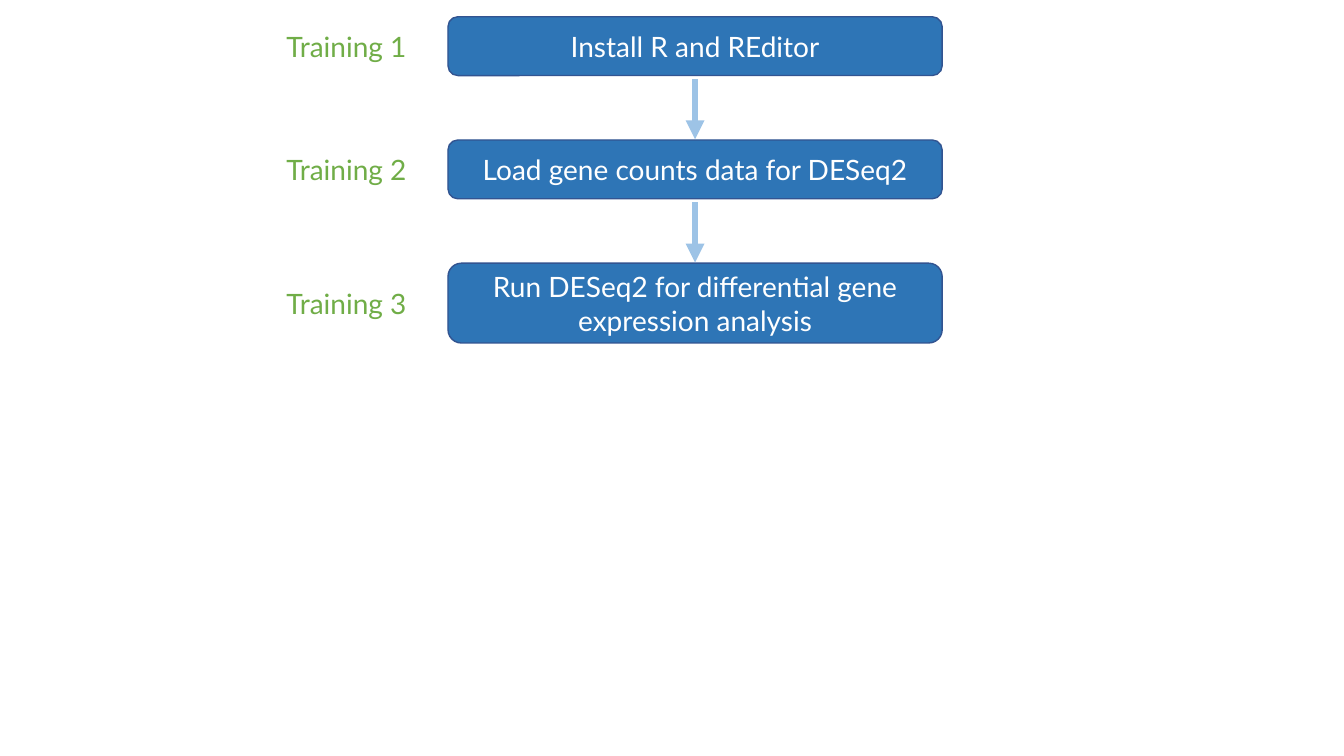
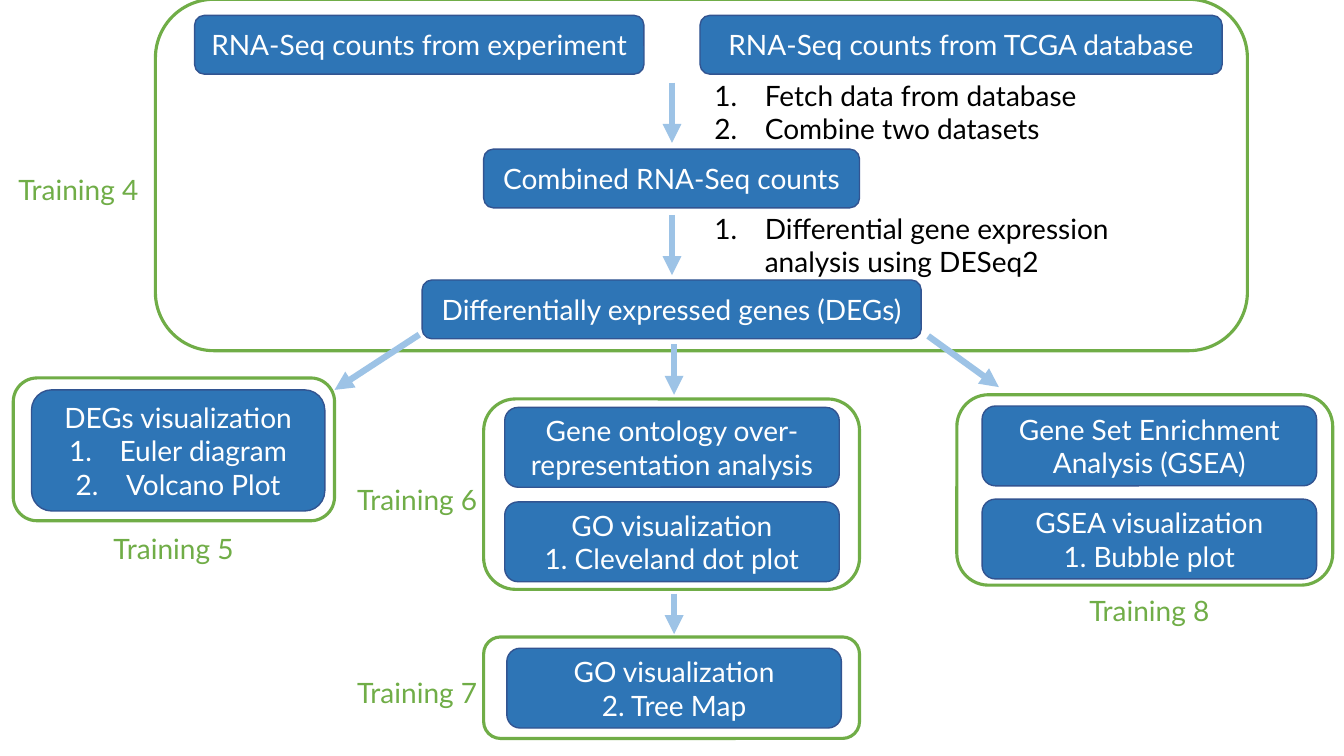
"""Build two flow charts of a gene expression training course."""
from dataclasses import dataclass

from lxml.etree import SubElement
from pptx import Presentation
from pptx.dml.color import RGBColor
from pptx.enum.shapes import MSO_CONNECTOR, MSO_SHAPE
from pptx.enum.text import MSO_ANCHOR, PP_ALIGN
from pptx.oxml.ns import qn
from pptx.util import Pt


@dataclass(frozen=True)
class Theme:
    font: str = "Lato"
    text_size: float = 20
    step_fill: RGBColor = RGBColor(0x2E, 0x75, 0xB6)
    step_edge: RGBColor = RGBColor(0x32, 0x54, 0x91)
    step_text: RGBColor = RGBColor(0xFF, 0xFF, 0xFF)
    training: RGBColor = RGBColor(0x70, 0xAD, 0x47)
    note: RGBColor = RGBColor(0, 0, 0)
    arrow: RGBColor = RGBColor(0x9D, 0xC3, 0xE6)
    edge_width: float = 1
    frame_width: float = 2.25
    arrow_width: float = 4.5
    number_indent: float = 36


class FlowChart:
    """Draw flow chart elements on the current slide."""

    def __init__(self, theme):
        self.theme = theme
        self.deck = Presentation()
        self.deck.slide_width, self.deck.slide_height = Pt(960), Pt(540)
        self.slide = None

    def new_slide(self):
        self.slide = self.deck.slides.add_slide(self.deck.slide_layouts[6])
        for placeholder in list(self.slide.placeholders):
            placeholder.element.getparent().remove(placeholder.element)

    def panel(self, place, fill=None, edge=None, edge_width=0):
        shape = self.slide.shapes.add_shape(
            MSO_SHAPE.ROUNDED_RECTANGLE, *map(Pt, place))
        shape.shadow.inherit = False
        if fill is None:
            shape.fill.background()
        else:
            shape.fill.solid()
            shape.fill.fore_color.rgb = fill
        if edge is None:
            shape.line.fill.background()
        else:
            shape.line.color.rgb = edge
            shape.line.width = Pt(edge_width)
        return shape

    def add_text(self, shape, color, align, lines, numbered=()):
        text = shape.text_frame
        text.word_wrap = True
        text.vertical_anchor = MSO_ANCHOR.MIDDLE
        for index, line in enumerate([*lines, *numbered]):
            paragraph = text.add_paragraph() if index else text.paragraphs[0]
            paragraph.alignment = align
            if index >= len(lines):
                self.number(paragraph)
            run = paragraph.add_run()
            run.text = line
            run.font.name = self.theme.font
            run.font.size = Pt(self.theme.text_size)
            run.font.color.rgb = color

    def number(self, paragraph):
        indent = Pt(self.theme.number_indent)
        properties = paragraph._p.get_or_add_pPr()
        properties.set("marL", str(indent))
        properties.set("indent", str(-indent))
        SubElement(properties, qn("a:buAutoNum"), type="arabicPeriod")

    def step(self, place, *lines, numbered=()):
        theme = self.theme
        shape = self.panel(
            place, theme.step_fill, theme.step_edge, theme.edge_width)
        self.add_text(shape, theme.step_text, PP_ALIGN.CENTER, lines, numbered)

    def frame(self, *place):
        self.panel(place, edge=self.theme.training,
                   edge_width=self.theme.frame_width)

    def training(self, number, center_x, center_y):
        width, height = 112, 66
        shape = self.panel(
            (center_x - width / 2, center_y - height / 2, width, height))
        self.add_text(shape, self.theme.training, PP_ALIGN.CENTER,
                      [f"Training {number}"])

    def notes(self, place, *items):
        self.add_text(self.panel(place), self.theme.note, PP_ALIGN.LEFT,
                      (), items)

    def arrow(self, *ends):
        connector = self.slide.shapes.add_connector(
            MSO_CONNECTOR.STRAIGHT, *map(Pt, ends))
        connector.line.color.rgb = self.theme.arrow
        connector.line.width = Pt(self.theme.arrow_width)
        SubElement(connector.line._get_or_add_ln(), qn("a:tailEnd"),
                   type="triangle")
        SubElement(connector._element.spPr, qn("a:effectLst"))


ROW, DOUBLE_ROW = 42, 57


def draw_preparation(chart):
    """Draw trainings 1 to 3."""
    chart.new_slide()
    first_top, pitch = 12, 88
    tasks = [
        ("Install R and REditor", ROW),
        ("Load gene counts data for DESeq2", ROW),
        ("Run DESeq2 for differential gene expression analysis", DOUBLE_ROW),
    ]
    for index, (task, height) in enumerate(tasks):
        top = first_top + index * pitch
        chart.step((320, top, 353, height), task)
        chart.training(index + 1, 247.5, top + height / 2)
        if index:
            chart.arrow(496.5, top - 43.5, 496.5, top - 0.5)


def draw_analysis(chart):
    """Draw trainings 4 to 8."""
    chart.new_slide()
    go_left, gsea_left, branch_width = 345.5, 683.5, 268.5
    go_step, gsea_step, step_width = 360.5, 701.5, 239

    chart.step((139, 11, 321, ROW), "RNA-Seq counts from experiment")
    chart.step((500, 11, 373, ROW), "RNA-Seq counts from TCGA database")
    chart.step((go_left, 106.5, branch_width, ROW), "Combined RNA-Seq counts")
    chart.step((301.5, 200, 356.5, ROW), "Differentially expressed genes (DEGs)")
    chart.notes((500, 47, 292, 66),
                "Fetch data from database", "Combine two datasets")
    chart.notes((500, 142, 320, 66),
                "Differential gene expression analysis using DESeq2")

    chart.step((22.5, 278.5, 209.5, 86.5), "DEGs visualization",
               numbered=("Euler diagram", "Volcano Plot"))
    branches = [
        (go_step, 291, ["Gene ontology over-representation analysis"]),
        (go_step, 358.5, ["GO visualization", "1. Cleveland dot plot"]),
        (go_step + 1.5, 463, ["GO visualization", "2. Tree Map"]),
        (gsea_step, 290, ["Gene Set Enrichment Analysis (GSEA)"]),
        (gsea_step, 356.5, ["GSEA visualization", "1. Bubble plot"]),
    ]
    for left, top, lines in branches:
        chart.step((left, top, step_width, DOUBLE_ROW), *lines)

    chart.frame(111, -0.5, 780, 251)
    chart.frame(9.5, 270, 229.5, 102)
    chart.frame(go_left, 285, branch_width, 136)
    chart.frame(go_left, 455, branch_width, 72.5)
    chart.frame(gsea_left, 282, branch_width, 136)

    trainings = [(56, 135), (124, 392), (298, 357), (298, 494.5), (821, 436)]
    for number, center in enumerate(trainings, start=4):
        chart.training(number, *center)

    for top, bottom in [(59, 102), (153.5, 196.5)]:
        chart.arrow(480, top, 480, bottom)
    for top, bottom in [(246, 282), (424, 453)]:
        chart.arrow(481.5, top, 481.5, bottom)
    chart.arrow(299.5, 239, 239, 278.5)
    chart.arrow(663, 240, 713.5, 276.5)


course = FlowChart(Theme())
draw_preparation(course)
draw_analysis(course)
course.deck.save("out.pptx")
